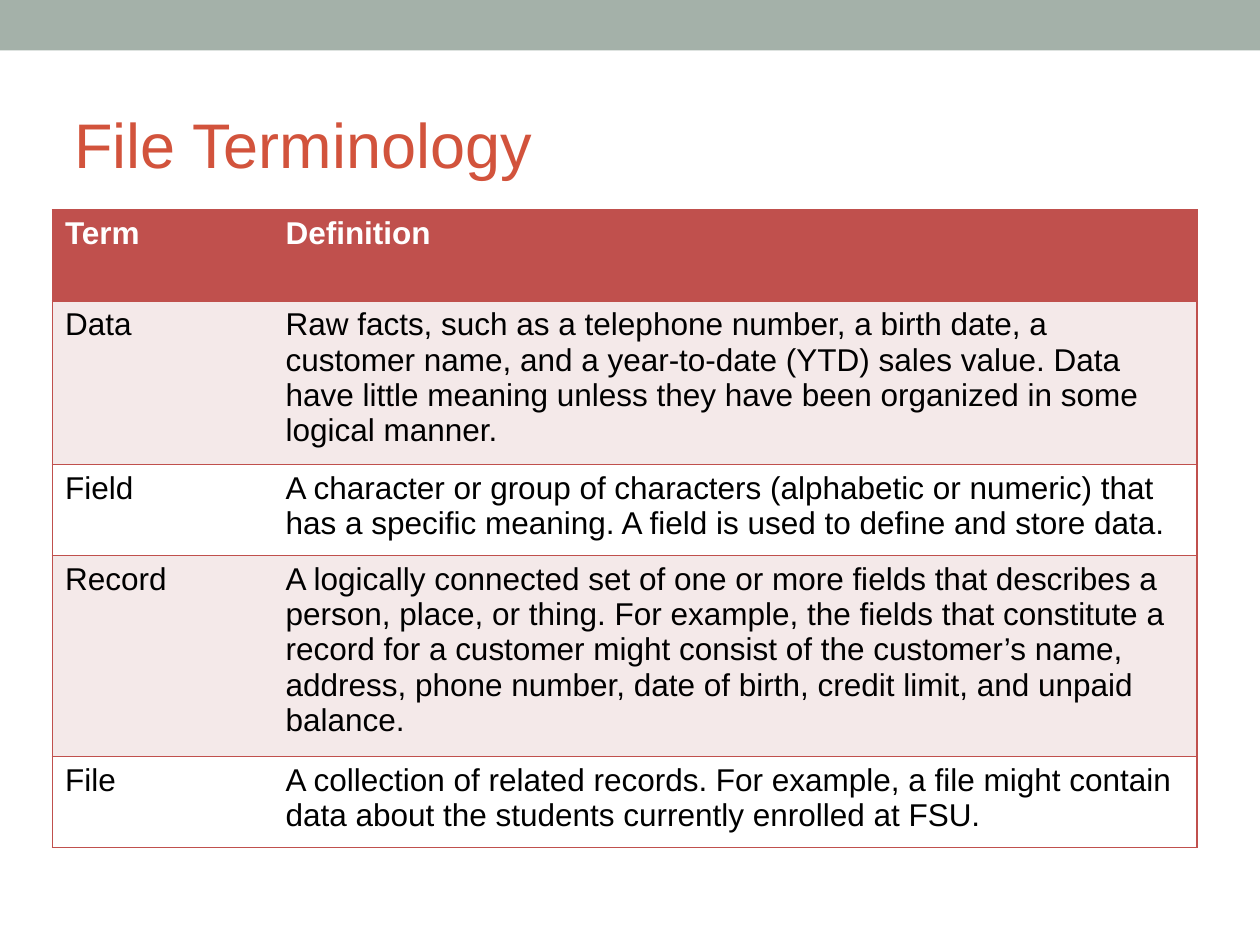
from lxml.etree import SubElement
from pptx import Presentation
from pptx.dml.color import RGBColor
from pptx.enum.text import MSO_ANCHOR, MSO_AUTO_SIZE, PP_ALIGN
from pptx.oxml.ns import qn
from pptx.util import Pt

# Content: term, definition, row height
TITLE = "File Terminology"
ROWS = [
    ("Term", "Definition", 52),
    ("Data", "Raw facts, such as a telephone number, a birth date, a customer name, "
     "and a year-to-date (YTD) sales value. Data have little meaning unless they "
     "have been organized in some logical manner.", 93.5),
    ("Field", "A character or group of characters (alphabetic or numeric) that has a "
     "specific meaning. A field is used to define and store data.", 52),
    ("Record", "A logically connected set of one or more fields that describes a "
     "person, place, or thing. For example, the fields that constitute a record for "
     "a customer might consist of the customer’s name, address, phone number, date "
     "of birth, credit limit, and unpaid balance.", 115),
    ("File", "A collection of related records. For example, a file might contain data "
     "about the students currently enrolled at FSU.", 52),
]
COLUMN_WIDTHS = (126, 528)
FONT = "Arial"
RED, PINK, WHITE, BLACK = "C0504D", "F4E9E9", "FFFFFF", "000000"
SAGE, ORANGE = "A4B1A9", "D2533C"


def paint(fill, color):
    fill.solid()
    fill.fore_color.rgb = RGBColor.from_string(color)


def style(paragraph, size, color, bold=False):
    font = paragraph.font
    font.name, font.size, font.bold = FONT, Pt(size), bold
    font.color.rgb = RGBColor.from_string(color)
    paragraph.alignment = PP_ALIGN.LEFT


def set_borders(cell, sides):
    """Rule the given sides in red and leave the others bare."""
    properties = cell._tc.get_or_add_tcPr()
    for side in "LRTB":
        line = SubElement(properties, qn(f"a:ln{side}"), w=str(Pt(1)))
        if side in sides:
            solid = SubElement(line, qn("a:solidFill"))
            SubElement(solid, qn("a:srgbClr"), val=RED)
        else:
            SubElement(line, qn("a:noFill"))


presentation = Presentation()
presentation.slide_width, presentation.slide_height = Pt(720), Pt(540)
slide = presentation.slides.add_slide(presentation.slide_layouts[5])

# Top band
band = slide.shapes.add_shape(1, 0, 0, Pt(720), Pt(28.8))
band.shadow.inherit = False
paint(band.fill, SAGE)
band.line.fill.background()

# Title
title = slide.shapes.title
title.left, title.top, title.width, title.height = Pt(42.5), Pt(39.6), Pt(636), Pt(64)
title.text = TITLE
frame = title.text_frame
frame.auto_size = MSO_AUTO_SIZE.NONE
frame.vertical_anchor = MSO_ANCHOR.BOTTOM
frame.margin_left = frame.margin_right = frame.margin_bottom = 0
frame.margin_top = Pt(20)
style(frame.paragraphs[0], 36, ORANGE)

# Table of terms
table = slide.shapes.add_table(
    len(ROWS), len(COLUMN_WIDTHS), Pt(30), Pt(120),
    Pt(sum(COLUMN_WIDTHS)), Pt(sum(height for *_, height in ROWS))).table
table.horz_banding = False
for column, width in zip(table.columns, COLUMN_WIDTHS):
    column.width = Pt(width)

for r, (term, definition, height) in enumerate(ROWS):
    table.rows[r].height = Pt(height)
    header = r == 0
    background = RED if header else PINK if r % 2 else WHITE
    for c, (wording, outer_side) in enumerate(((term, "L"), (definition, "R"))):
        cell = table.cell(r, c)
        cell.text = wording
        style(cell.text_frame.paragraphs[0], 18, WHITE if header else BLACK, header)
        set_borders(cell, "TB" + outer_side)
        paint(cell.fill, background)

presentation.save("out.pptx")
